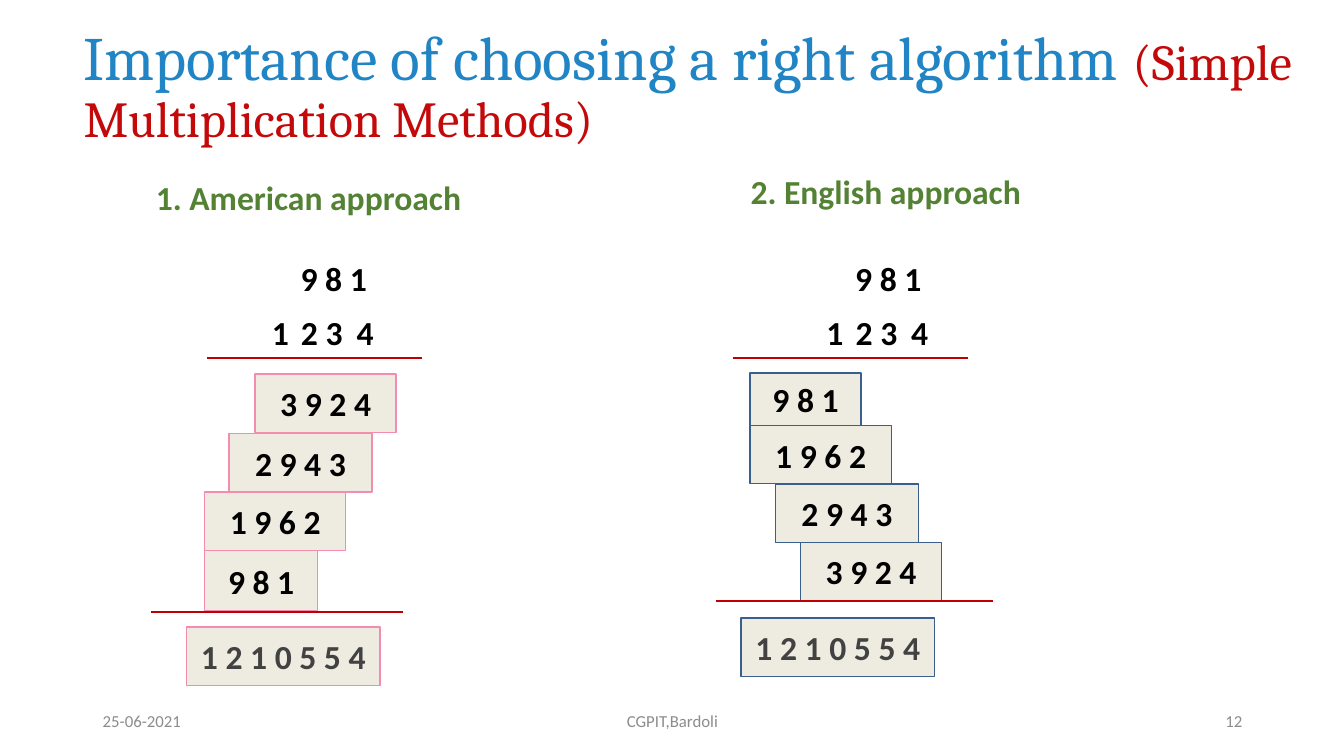
from dataclasses import dataclass

from lxml import etree
from pptx import Presentation
from pptx import util as u
from pptx.dml import color
from pptx.enum import shapes, text
from pptx.oxml import ns

PX = 9144


@dataclass(frozen=True)
class Theme:
    heading_font: str = "Cambria"
    body_font: str = "Calibri"
    title: str = "2185C5"
    subtitle: str = "C30909"
    approach: str = "548235"
    digits: str = "000000"
    product: str = "424242"
    footer: str = "8C8C8C"
    box: str = "EEECE1"
    rule: str = "C00000"
    american: str = "F48CAF"
    english: str = "3A5F8C"
    title_size: int = 44
    subtitle_size: int = 36
    body_size: int = 24
    footer_size: int = 12


class SlideBuilder:
    def __init__(self, slide, theme):
        self.slide = slide
        self.theme = theme

    def rgb(self, value):
        return color.RGBColor.from_string(value)

    def place(self, item, at):
        item.left, item.top, item.width, item.height = [n * PX for n in at]

    def run(self, paragraph, words, size, ink, font=None, bold=False):
        run = paragraph.add_run()
        run.text = words
        run.font.name = font or self.theme.body_font
        run.font.size = u.Pt(size)
        run.font.bold = bold
        run.font.color.rgb = self.rgb(ink)

    def title(self, at, parts):
        title = self.slide.shapes.title
        self.place(title, at)
        frame = title.text_frame
        frame.word_wrap = True
        frame.auto_size = text.MSO_AUTO_SIZE.NONE
        frame.vertical_anchor = text.MSO_ANCHOR.MIDDLE
        paragraph = frame.paragraphs[0]
        paragraph.alignment = text.PP_ALIGN.LEFT
        paragraph.line_spacing = 0.9
        for words, size, ink in parts:
            self.run(paragraph, words, size, ink, self.theme.heading_font)

    def heading(self, index, at, words, spacing):
        heading = self.slide.placeholders[index]
        self.place(heading, at)
        frame = heading.text_frame
        frame.word_wrap = True
        frame.auto_size = text.MSO_AUTO_SIZE.NONE
        paragraph = frame.paragraphs[0]
        paragraph.alignment = text.PP_ALIGN.CENTER
        paragraph.line_spacing = spacing
        paragraph.space_before = u.Pt(0)
        properties = paragraph._p.get_or_add_pPr()
        properties.set("marL", "0")
        properties.set("indent", "0")
        etree.SubElement(properties, ns.qn("a:buNone"))
        self.run(paragraph, words, self.theme.body_size, self.theme.approach, bold=True)

    def fill_text(self, item, words, size, ink, align, bold):
        frame = item.text_frame
        frame.word_wrap = True
        frame.vertical_anchor = text.MSO_ANCHOR.MIDDLE
        paragraph = frame.paragraphs[0]
        paragraph.alignment = align
        self.run(paragraph, words, size, ink, bold=bold)

    def digits(self, at, words, insets=(10, 10)):
        label = self.slide.shapes.add_textbox(*[n * PX for n in at])
        frame = label.text_frame
        frame.margin_left, frame.margin_right = [n * PX for n in insets]
        self.fill_text(label, words, self.theme.body_size, self.theme.digits,
                       text.PP_ALIGN.CENTER, True)

    def footer(self, at, words, align):
        label = self.slide.shapes.add_textbox(*[n * PX for n in at])
        self.fill_text(label, words, self.theme.footer_size, self.theme.footer, align, False)

    def box(self, at, words, outline, ink):
        box = self.slide.shapes.add_shape(shapes.MSO_SHAPE.RECTANGLE, *[n * PX for n in at])
        box.shadow.inherit = False
        box.fill.solid()
        box.fill.fore_color.rgb = self.rgb(self.theme.box)
        box.line.color.rgb = self.rgb(outline)
        box.line.width = u.Pt(1)
        self.fill_text(box, words, self.theme.body_size, ink, text.PP_ALIGN.CENTER, True)

    def rule(self, left, right, y):
        rule = self.slide.shapes.add_connector(
            shapes.MSO_CONNECTOR.STRAIGHT, left * PX, y * PX, right * PX, y * PX)
        rule.line.color.rgb = self.rgb(self.theme.rule)
        rule.line.width = u.Pt(1.5)
        etree.SubElement(rule._element.spPr, ns.qn("a:effectLst"))

    def multiplication(self, left, outline, partials, product_at, rules):
        self.digits((left, 247, 112, 58), "9 8 1")
        for words, at in partials:
            self.box(at, words, outline, self.theme.digits)
        self.box(product_at, "1 2 1 0 5 5 4", outline, self.theme.product)
        for digit, offset, width in MULTIPLIER:
            self.digits((left + offset, 304, width, 50), digit, (8, 0))
        for ends in rules:
            self.rule(*ends)


MULTIPLIER = [("4", 69, 28), ("3", 37, 31), ("2", 13, 30), ("1", -15, 28)]

AMERICAN_PARTIALS = [
    ("3 9 2 4", (253, 371, 140, 58)),
    ("2 9 4 3", (227, 430, 142, 58)),
    ("1 9 6 2", (203, 488, 140, 58)),
    ("9 8 1", (203, 546, 112, 60)),
]
ENGLISH_PARTIALS = [
    ("3 9 2 4", (794, 538, 140, 58)),
    ("2 9 4 3", (769, 480, 142, 58)),
    ("1 9 6 2", (744, 422, 140, 58)),
    ("9 8 1", (744, 370, 110, 52)),
]


def main():
    theme = Theme()
    deck = Presentation()
    deck.slide_width, deck.slide_height = 1333 * PX, 750 * PX
    page = SlideBuilder(deck.slides.add_slide(deck.slide_layouts[3]), theme)

    page.title((73, 15, 1228, 145), [
        ("Importance of choosing a right algorithm ", theme.title_size, theme.title),
        ("(Simple Multiplication Methods)", theme.subtitle_size, theme.subtitle),
    ])
    page.heading(1, (127, 165, 358, 70), "1. American approach", 1.14)
    page.heading(2, (687, 165, 383, 70), "2. English approach", 1.0)

    page.multiplication(275, theme.american, AMERICAN_PARTIALS, (185, 622, 192, 58),
                        [(205, 419, 355), (150, 400, 607)])
    page.multiplication(825, theme.english, ENGLISH_PARTIALS, (735, 613, 192, 58),
                        [(727, 960, 355), (710, 985, 596)])

    page.footer((92, 695, 300, 40), "25-06-2021", text.PP_ALIGN.LEFT)
    page.footer((442, 695, 450, 40), "CGPIT,Bardoli", text.PP_ALIGN.CENTER)
    page.footer((942, 695, 300, 40), "12", text.PP_ALIGN.RIGHT)
    deck.save("out.pptx")


if __name__ == "__main__":
    main()
